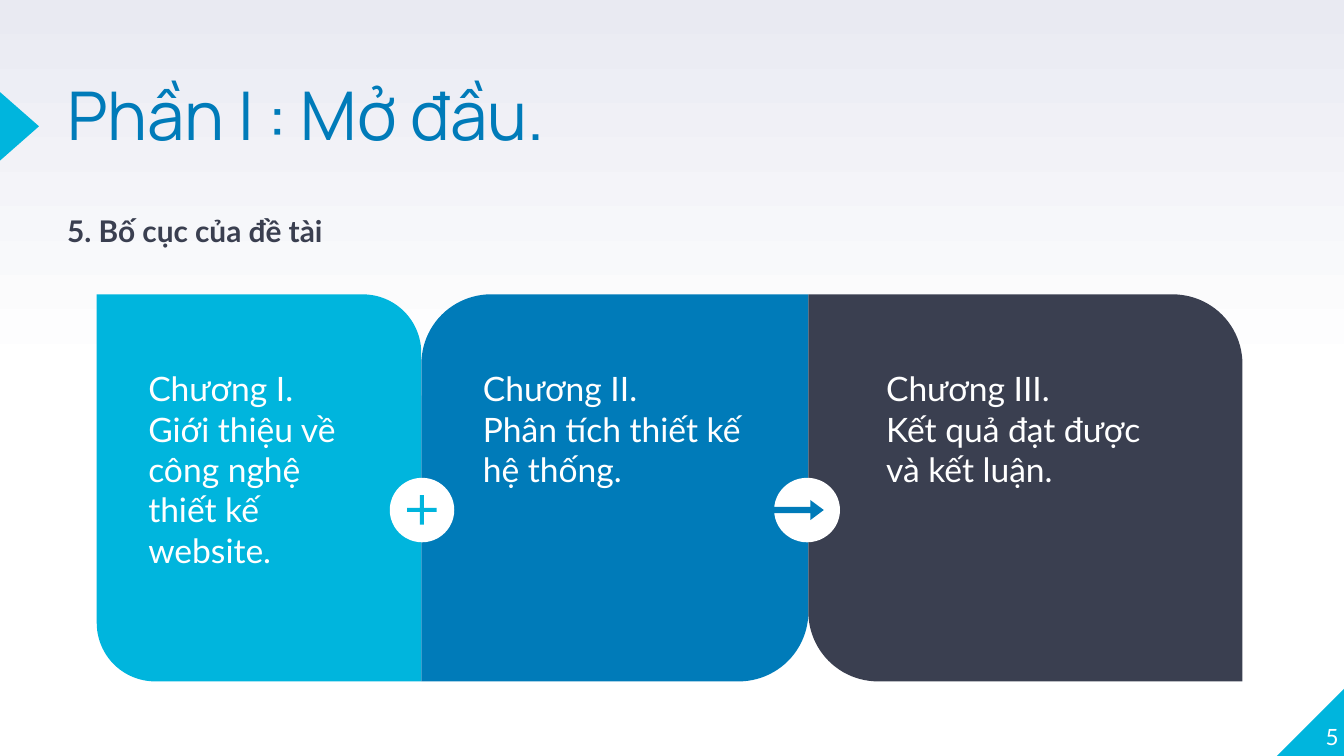
from dataclasses import dataclass

from pptx import Presentation
from pptx.dml.color import RGBColor
from pptx.enum.shapes import MSO_SHAPE
from pptx.enum.text import MSO_ANCHOR, PP_ALIGN
from pptx.shapes.autoshape import Shape
from pptx.slide import Slide
from pptx.util import Emu, Pt

PX = 4572

WHITE = RGBColor(0xFF, 0xFF, 0xFF)
MIST = RGBColor(0xE9, 0xEA, 0xF2)
CYAN = RGBColor(0x00, 0xB5, 0xDD)
BLUE = RGBColor(0x00, 0x7B, 0xB9)
SLATE = RGBColor(0x3A, 0x3F, 0x50)

RIGHT_TRIANGLE = MSO_SHAPE.RIGHT_TRIANGLE
TRIANGLE = MSO_SHAPE.ISOSCELES_TRIANGLE
PANEL = MSO_SHAPE.ROUND_2_DIAG_RECTANGLE
OVAL = MSO_SHAPE.OVAL
ARROW = MSO_SHAPE.RIGHT_ARROW
PLUS = MSO_SHAPE.MATH_PLUS
TOP = MSO_ANCHOR.TOP
BOTTOM = MSO_ANCHOR.BOTTOM
LEFT = PP_ALIGN.LEFT
RIGHT = PP_ALIGN.RIGHT

PANEL_TOP = 438
PANEL_HEIGHT = 576
PANEL_START = 144
CORNER = 0.18


@dataclass(frozen=True)
class Area:
    left: int
    top: int
    width: int
    height: int

    def emu(self) -> tuple[Emu, ...]:
        lengths = (self.left, self.top, self.width, self.height)
        return tuple(Emu(length * PX) for length in lengths)


@dataclass(frozen=True)
class TextStyle:
    size: int
    color: RGBColor
    font: str = "Lato"
    bold: bool = False
    spacing: float = 1.0
    before: int = 0
    align: PP_ALIGN = LEFT
    anchor: MSO_ANCHOR = TOP
    inset: int = 0


@dataclass(frozen=True)
class Chapter:
    width: int
    color: RGBColor
    corners: tuple[float, float]
    text_left: int
    text_width: int
    lines: tuple[str, str]


CHAPTER_STYLE = TextStyle(18, WHITE, inset=20)
CHAPTERS = (
    Chapter(483, CYAN, (0, CORNER), 201, 360,
            ("Chương I.", "Giới thiệu về công nghệ thiết kế website.")),
    Chapter(576, BLUE, (CORNER, 0), 699, 432,
            ("Chương II.", "Phân tích thiết kế hệ thống.")),
    Chapter(646, SLATE, (0, CORNER), 1299, 432,
            ("Chương III.", "Kết quả đạt được và kết luận.")),
)


def add_solid(page: Slide, kind: MSO_SHAPE, area: Area, color: RGBColor,
              adjustments: tuple[float, ...] = (), rotation: int = 0) -> Shape:
    shape = page.shapes.add_shape(kind, *area.emu())
    shape.shadow.inherit = False
    shape.fill.solid()
    shape.fill.fore_color.rgb = color
    shape.line.fill.background()
    shape.rotation = rotation
    for index, value in enumerate(adjustments):
        shape.adjustments[index] = value
    return shape


def add_text(page: Slide, area: Area, lines: tuple[str, ...],
             style: TextStyle) -> Shape:
    box = page.shapes.add_textbox(*area.emu())
    frame = box.text_frame
    frame.word_wrap = True
    frame.vertical_anchor = style.anchor
    inset = Emu(style.inset * PX)
    frame.margin_left = frame.margin_right = inset
    frame.margin_top = frame.margin_bottom = inset
    for index, line in enumerate(lines):
        para = frame.add_paragraph() if index else frame.paragraphs[0]
        para.alignment = style.align
        para.line_spacing = style.spacing
        para.space_before = Pt(style.before)
        span = para.add_run()
        span.text = line
        span.font.name = style.font
        span.font.size = Pt(style.size)
        span.font.bold = style.bold
        span.font.color.rgb = style.color
    return box


def paint_background(page: Slide) -> None:
    fill = page.background.fill
    fill.gradient()
    fill.gradient_angle = 90
    stops = ((0.5, WHITE), (1.0, MIST))
    for stop, (position, color) in zip(fill.gradient_stops, stops):
        stop.position = position
        stop.color.rgb = color


def add_chapters(page: Slide) -> None:
    left = PANEL_START
    for chapter in CHAPTERS:
        area = Area(left, PANEL_TOP, chapter.width, PANEL_HEIGHT)
        add_solid(page, PANEL, area, chapter.color, chapter.corners)
        text_area = Area(chapter.text_left, 528, chapter.text_width, 168)
        add_text(page, text_area, chapter.lines, CHAPTER_STYLE)
        left += chapter.width


def main() -> None:
    deck = Presentation()
    deck.slide_width = Emu(2000 * PX)
    deck.slide_height = Emu(1125 * PX)
    page = deck.slides.add_slide(deck.slide_layouts[6])
    paint_background(page)

    add_solid(page, RIGHT_TRIANGLE, Area(1900, 1023, 102, 102), CYAN,
              rotation=270)
    add_solid(page, TRIANGLE, Area(-22, 159, 102, 58), CYAN, (0.5,), 90)
    add_text(page, Area(1892, 1014, 100, 102), ("5",),
             TextStyle(12, WHITE, align=RIGHT, anchor=BOTTOM))
    add_text(page, Area(100, 132, 1234, 130), ("Phần I : Mở đầu.",),
             TextStyle(36, BLUE, font="Manrope", spacing=0.8))
    add_text(page, Area(100, 312, 560, 174), ("5. Bố cục của đề tài",),
             TextStyle(16, SLATE, bold=True, spacing=1.1, before=6))

    add_chapters(page)
    add_solid(page, OVAL, Area(1152, 711, 98, 96), WHITE)
    add_solid(page, ARROW, Area(1152, 744, 74, 30), BLUE, (0.32, 0.67))
    add_solid(page, OVAL, Area(580, 711, 96, 96), WHITE)
    add_solid(page, PLUS, Area(598, 729, 60, 60), CYAN, (0.1,))

    deck.save("out.pptx")


if __name__ == "__main__":
    main()
